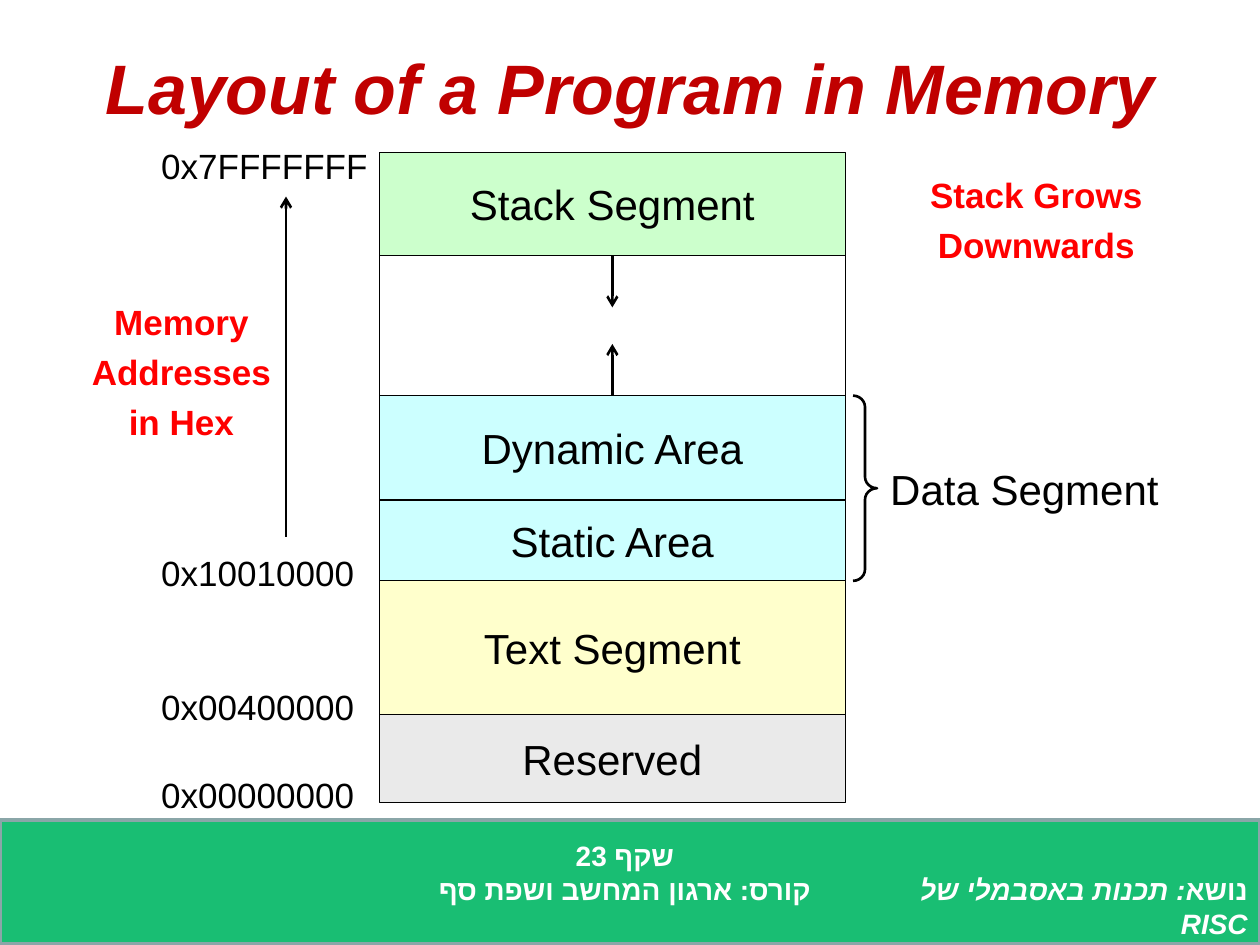
from lxml import etree
from pptx import Presentation
from pptx import util as u
from pptx.dml.color import RGBColor
from pptx.enum import shapes, text
from pptx.oxml.ns import qn

COLORS = {"title": "C00000", "note": "FF0000", "ink": "000000", "white": "FFFFFF",
          "stack": "CCFFCC", "data": "CCFFFF", "code": "FFFFCC", "reserved": "EAEAEA",
          "footer": "19BE73", "footer_line": "8AA6A8"}
FONT = "Arial"
W, H = 10, 7.5

# Memory map from the top address down: label, height, fill
SEGMENTS = [("Stack Segment", 0.82, "stack"), ("", 1.11, None),
            ("Dynamic Area", 0.83, "data"), ("Static Area", 0.64, "data"),
            ("Text Segment", 1.06, "code"), ("Reserved", 0.7, "reserved")]
MAP_X, MAP_Y, MAP_W = 3.01, 1.21, 3.7
# Address and the number of segments above it
ADDRESSES = [("0x7FFFFFFF", 0), ("0x10010000", 4), ("0x00400000", 5), ("0x00000000", 6)]
ADDRESS_X, ADDRESS_W, ADDRESS_H = 1.28, 1.67, 0.29
NOTES = [(["Memory", "Addresses", "in Hex"], (0.67, 2.27, 1.54, 1.29)),
         (["Stack Grows", "Downwards"], (7.33, 1.27, 1.79, 0.88))]
FOOTER_Y, FOOTER_H = 6.51, 0.98
SUBJECT = [[("נושא", False), (": תכנות באסבמלי של RISC", True)]]
COURSE = ["שקף 23", "קורס: ארגון המחשב ושפת סף"]

ALIGN = {"l": text.PP_ALIGN.LEFT, "c": text.PP_ALIGN.CENTER, "r": text.PP_ALIGN.RIGHT}
ANCHOR = {"t": text.MSO_ANCHOR.TOP, "m": text.MSO_ANCHOR.MIDDLE}


def rgb(name):
    return RGBColor.from_string(COLORS[name])


def inches(*values):
    return [u.Inches(v) for v in values]


def write(s, paragraphs, size=24, color="ink", bold=False, italic=False, align="c",
          anchor="m", insets=(0, 0), spacing=None, rtl=False):
    """Fill a shape; a paragraph is a string or a list of (text, italic) runs."""
    tf = s.text_frame
    tf.word_wrap = True
    tf.vertical_anchor = ANCHOR[anchor]
    tf.margin_left = tf.margin_right = u.Inches(insets[0])
    tf.margin_top = tf.margin_bottom = u.Inches(insets[1])
    for i, runs in enumerate(paragraphs):
        p = tf.paragraphs[0] if i == 0 else tf.add_paragraph()
        p.alignment = ALIGN[align]
        if spacing:
            p.line_spacing = spacing
        if rtl:
            p._p.get_or_add_pPr().set("rtl", "1")
        for content, slanted in [(runs, italic)] if isinstance(runs, str) else runs:
            r = p.add_run()
            r.text = content
            f = r.font
            f.name, f.size, f.bold, f.italic = FONT, u.Pt(size), bold, slanted
            f.color.rgb = rgb(color)
            if rtl:
                etree.SubElement(r._r.get_or_add_rPr(), qn("a:cs")).set("typeface", FONT)


def add_text(slide, at, paragraphs, **fmt):
    write(slide.shapes.add_textbox(*inches(*at)), paragraphs, **fmt)


def add_shape(slide, kind, at, fill=None, line="ink", width=0.75):
    s = slide.shapes.add_shape(kind, *inches(*at))
    s.shadow.inherit = False
    if fill:
        s.fill.solid()
        s.fill.fore_color.rgb = rgb(fill)
    else:
        s.fill.background()
    s.line.color.rgb = rgb(line)
    s.line.width = u.Pt(width)
    return s


def add_arrow(slide, x, y1, y2):
    s = slide.shapes.add_connector(shapes.MSO_CONNECTOR.STRAIGHT, *inches(x, y1, x, y2))
    s.line.color.rgb = rgb("ink")
    s.line.width = u.Pt(1.5)
    etree.SubElement(s.line._get_or_add_ln(), qn("a:tailEnd")).set("type", "arrow")
    etree.SubElement(s._element.spPr, qn("a:effectLst"))


def main():
    prs = Presentation()
    prs.slide_width, prs.slide_height = inches(W, H)
    slide = prs.slides.add_slide(prs.slide_layouts[6])
    rect = shapes.MSO_SHAPE.RECTANGLE

    add_shape(slide, rect, (0, FOOTER_Y, W, FOOTER_H), "footer", "footer_line", 2)
    add_text(slide, (0.5, 0.3, W - 1, 0.77), ["Layout of a Program in Memory"],
             size=40, color="title", bold=True, italic=True)

    edges = [MAP_Y]
    for label, height, fill in SEGMENTS:
        s = add_shape(slide, rect, (MAP_X, edges[-1], MAP_W, height), fill)
        if label:
            write(s, [label])
        edges.append(edges[-1] + height)

    for address, above in ADDRESSES:
        # The top address hangs near the map's top edge, the others sit above theirs
        y = edges[above] - (0.06 if above == 0 else 0.23)
        add_text(slide, (ADDRESS_X, y, ADDRESS_W, ADDRESS_H), [address],
                 size=20, align="l", anchor="t")

    data_top, data_end = edges[2], edges[4]
    brace = add_shape(slide, shapes.MSO_SHAPE.RIGHT_BRACE,
                      (6.77, data_top, 0.19, data_end - data_top), width=1.5)
    brace.adjustments[0] = 0.48
    add_text(slide, (7.02, data_top + 0.18, 2.22, 1.11), ["Data Segment"])

    middle = MAP_X + MAP_W / 2
    add_arrow(slide, middle, data_top, data_top - 0.41)
    add_arrow(slide, middle, edges[1], edges[1] + 0.41)
    add_arrow(slide, 2.27, 4.26, 1.56)

    for lines, at in NOTES:
        add_text(slide, at, lines, size=20, color="note", bold=True, spacing=1.2)

    footer = dict(size=16, color="white", bold=True, anchor="t", insets=(0.1, 0.05), rtl=True)
    add_text(slide, (MAP_X + 0.1, FOOTER_Y + 0.1, MAP_W, 0.77), COURSE, **footer)
    add_text(slide, (6.81, FOOTER_Y + 0.37, 3.19, 0.6), SUBJECT, align="r", **footer)

    prs.save("out.pptx")


if __name__ == "__main__":
    main()
